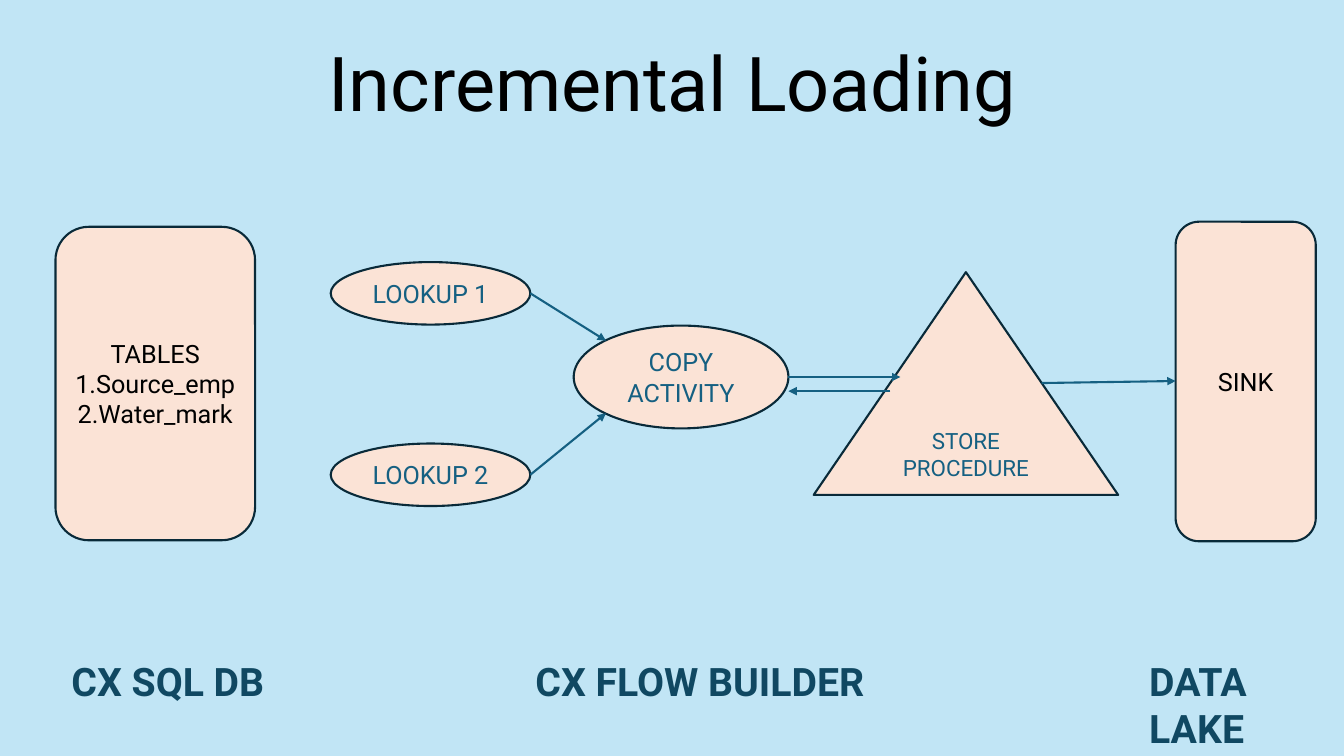
from lxml import etree
from pptx import Presentation
from pptx.dml.color import RGBColor
from pptx.enum.shapes import MSO_CONNECTOR, MSO_SHAPE
from pptx.enum.text import MSO_ANCHOR, PP_ALIGN
from pptx.oxml.ns import qn
from pptx.util import Inches, Pt

ROUNDED, ELLIPSE = MSO_SHAPE.ROUNDED_RECTANGLE, MSO_SHAPE.OVAL
TRIANGLE, STRAIGHT = MSO_SHAPE.ISOSCELES_TRIANGLE, MSO_CONNECTOR.STRAIGHT
LEFT, CENTER = PP_ALIGN.LEFT, PP_ALIGN.CENTER
TOP, MIDDLE, BOTTOM = MSO_ANCHOR.TOP, MSO_ANCHOR.MIDDLE, MSO_ANCHOR.BOTTOM

SKY = RGBColor(0xC1, 0xE5, 0xF5)
PEACH = RGBColor(0xFB, 0xE3, 0xD6)
OUTLINE = RGBColor(0x09, 0x2A, 0x39)
TEAL = RGBColor(0x15, 0x60, 0x82)
DARK_TEAL = RGBColor(0x10, 0x48, 0x62)
BLACK = RGBColor(0, 0, 0)
FONT = "Roboto"


def write_text(shape, lines, size, color, anchor, align=CENTER, bold=False):
    frame = shape.text_frame
    frame.word_wrap = True
    frame.vertical_anchor = anchor
    frame.text = "\n".join(lines)
    for paragraph in frame.paragraphs:
        paragraph.alignment = align
        font = paragraph.font
        font.name, font.size, font.bold = FONT, Pt(size), bold
        font.color.rgb = color


def add_label(slide, box, text, size, color, anchor=TOP, align=CENTER, bold=False):
    label = slide.shapes.add_textbox(*map(Inches, box))
    write_text(label, [text], size, color, anchor, align, bold)
    return label


def add_node(slide, kind, box, lines, color=TEAL, size=18):
    node = slide.shapes.add_shape(kind, *map(Inches, box))
    node.shadow.inherit = False
    node.fill.solid()
    node.fill.fore_color.rgb = PEACH
    node.line.color.rgb = OUTLINE
    node.line.width = Pt(1.5)
    write_text(node, lines, size, color, MIDDLE)
    return node


def add_arrow(slide, start, end):
    arrow = slide.shapes.add_connector(STRAIGHT, *map(Inches, start + end))
    arrow.line.color.rgb = TEAL
    arrow.line.width = Pt(1.5)
    etree.SubElement(arrow.line._get_or_add_ln(), qn("a:tailEnd"), type="triangle")
    etree.SubElement(arrow._element.spPr, qn("a:effectLst"))


def add_title(slide, box):
    title = add_label(slide, box, "Incremental Loading", 54, BLACK, BOTTOM)
    title.text_frame.paragraphs[0].line_spacing = 0.9


def add_factory(slide, left, top, sink_left):
    """Draw the pipeline from the lookups to the edge of the sink."""
    lookup_width, lookup_height, lookup_step = 1.98, 0.62, 1.8
    copy_left, copy_top = left + 2.41, top + 0.63
    copy_width, copy_height = 2.13, 1.02
    copy_right = copy_left + copy_width
    copy_middle = copy_top + copy_height / 2

    # Activities
    for index in range(2):
        box = (left, top + index * lookup_step, lookup_width, lookup_height)
        add_node(slide, ELLIPSE, box, [f"LOOKUP {index + 1}"])
    add_node(slide, ELLIPSE, (copy_left, copy_top, copy_width, copy_height),
             ["COPY ACTIVITY"])
    procedure = add_node(slide, TRIANGLE, (left + 4.79, top + 0.1, 3.02, 2.21),
                         ["STORE", "PROCEDURE"], size=16)
    procedure.text_frame.margin_top = Inches(0.35)

    # Lookups to the copy activity
    for index, end_top in enumerate((copy_top + 0.15, copy_top + 0.87)):
        start_top = top + index * lookup_step + lookup_height / 2
        add_arrow(slide, (left + lookup_width, start_top),
                  (copy_left + 0.32, end_top))

    # Exchange with the stored procedure, then on to the sink
    back_top = copy_middle + 0.14
    add_arrow(slide, (copy_right, copy_middle), (copy_right + 1.11, copy_middle))
    add_arrow(slide, (copy_right + 1.01, back_top), (copy_right, back_top))
    add_arrow(slide, (left + 7.05, top + 1.2), (sink_left, top + 1.18))


def add_stage_names(slide, top, height):
    stages = (
        (0.3, 2.73, "CX SQL DB", CENTER),
        (4.58, 4.72, "CX FLOW BUILDER", CENTER),
        (11.3, 2.03, "DATA LAKE", LEFT),
    )
    for left, width, name, align in stages:
        add_label(slide, (left, top, width, height), name, 28, DARK_TEAL,
                  align=align, bold=True)


def main():
    presentation = Presentation()
    presentation.slide_width = Inches(13.33)
    presentation.slide_height = Inches(7.5)
    slide = presentation.slides.add_slide(presentation.slide_layouts[6])
    slide.background.fill.solid()
    slide.background.fill.fore_color.rgb = SKY

    sink_left = 11.66
    add_title(slide, (1.67, 0.59, 10, 0.73))
    add_node(slide, ROUNDED, (0.55, 2.25, 1.98, 3.11),
             ["TABLES", "1.Source_emp", "2.Water_mark"], BLACK)
    add_node(slide, ROUNDED, (sink_left, 2.2, 1.39, 3.17), ["SINK"], BLACK)
    add_factory(slide, 3.28, 2.6, sink_left)
    add_stage_names(slide, 6.47, 0.57)
    presentation.save("out.pptx")


if __name__ == "__main__":
    main()
